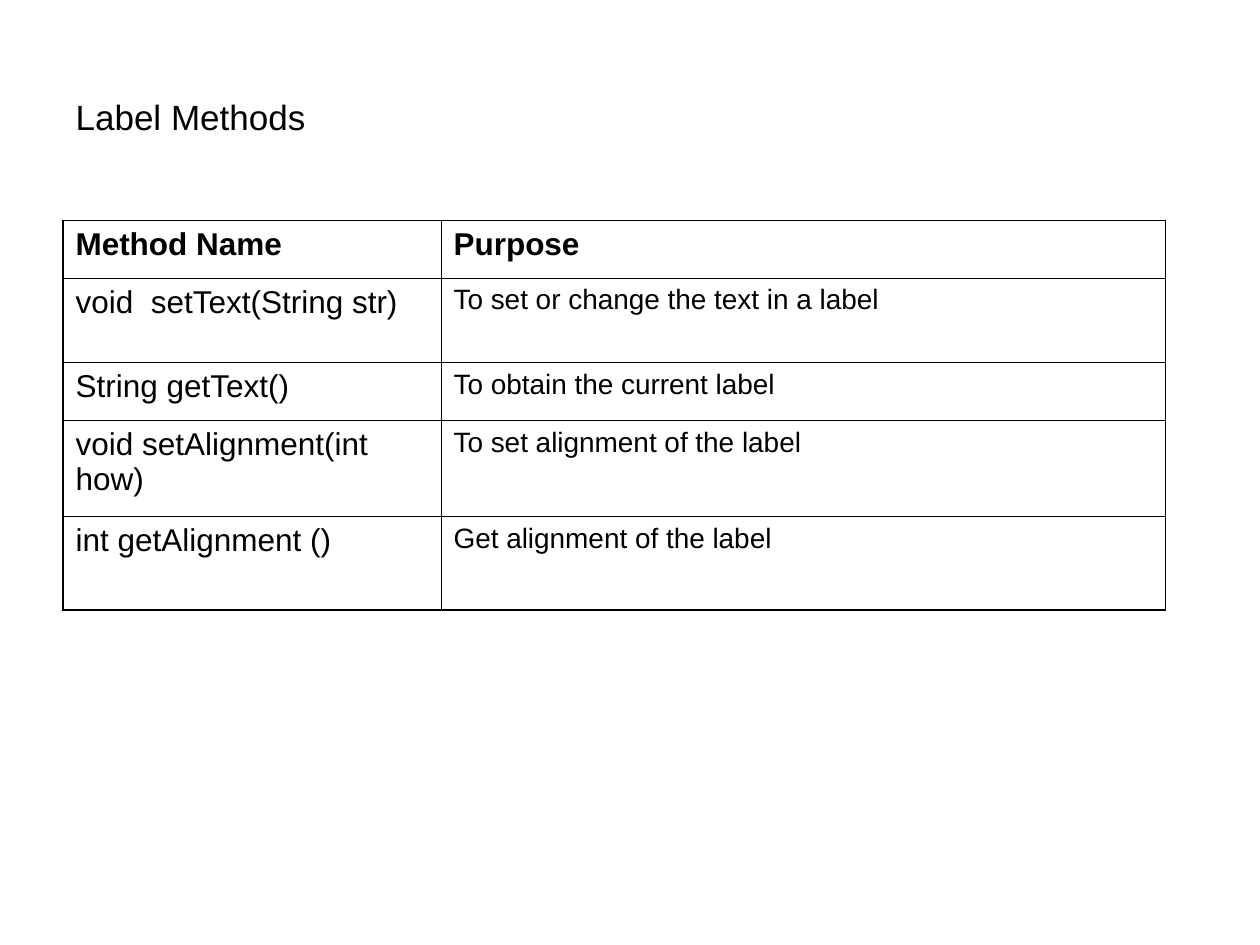
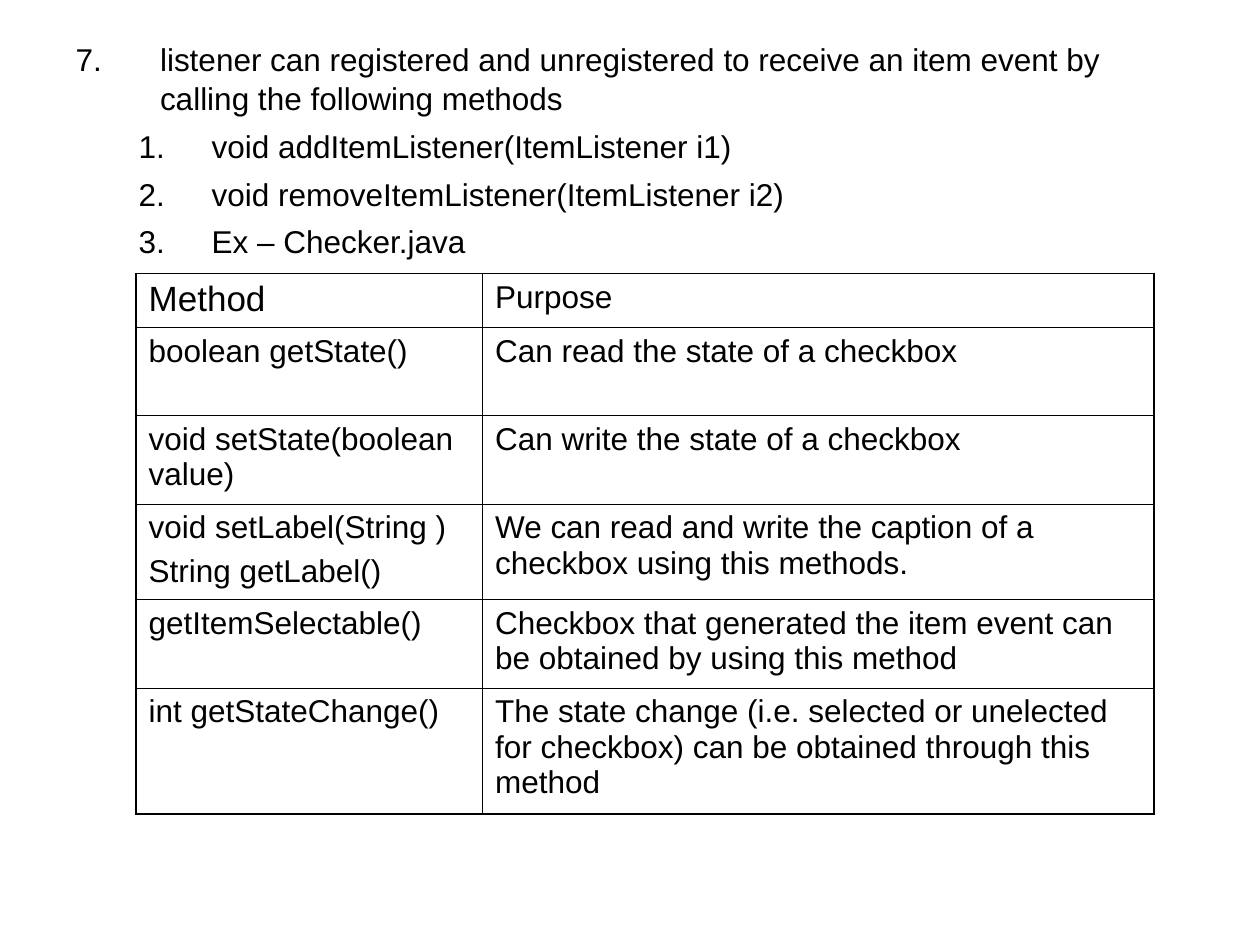
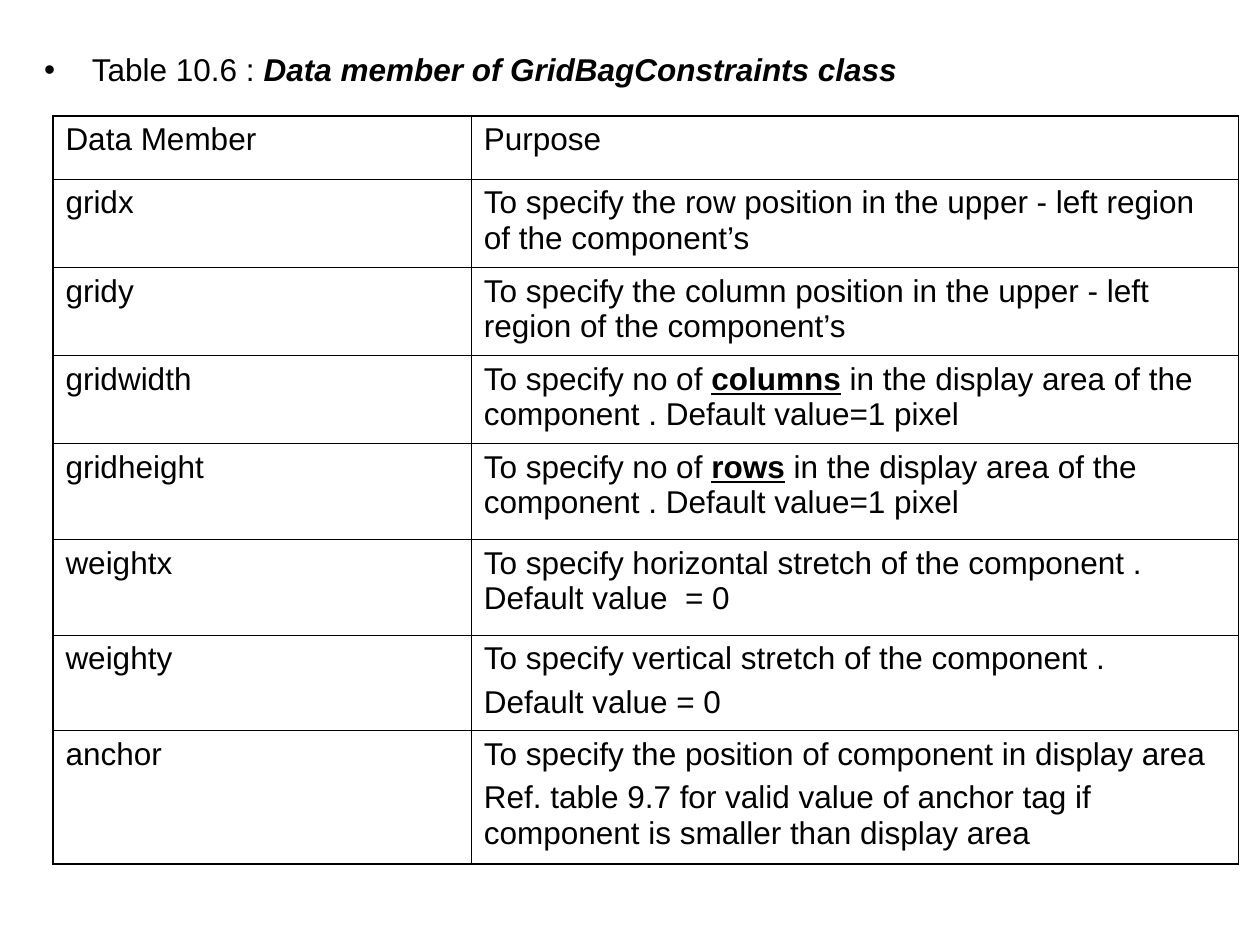
import lxml.etree
import pptx
import pptx.dml.color
import pptx.enum.text
import pptx.oxml.ns
import pptx.util

Inches = pptx.util.Inches
COLORS = {"text": "000000", "border": "000000"}
FONT = "Arial"
OUTER_BORDER = 1.08
INNER_BORDER = 0.45
TITLE_ONLY, TITLE_AND_BODY = 5, 1
STRESSED = {"bold": True, "underline": True}


def color(name):
    return pptx.dml.color.RGBColor.from_string(COLORS[name])


def add_element(parent, tag, **attributes):
    element = lxml.etree.SubElement(parent, pptx.oxml.ns.qn(tag))
    for name, value in attributes.items():
        element.set(name, str(value))
    return element


def write_text(paragraph, text, size=18, bold=False, italic=False, underline=False):
    run = paragraph.add_run()
    run.text = text
    run.font.name = FONT
    run.font.size = pptx.util.Pt(size)
    run.font.bold = bold
    run.font.italic = italic
    run.font.underline = underline
    run.font.color.rgb = color("text")


def write_paragraph(paragraph, content, space_before=4.5, **formatting):
    paragraph.alignment = pptx.enum.text.PP_ALIGN.LEFT
    paragraph.space_before = pptx.util.Pt(space_before)
    runs = [(content, {})] if isinstance(content, str) else content
    for text, run_format in runs:
        write_text(paragraph, text, **{**formatting, **run_format})


def set_bullet(paragraph, margin, hanging, character=None, start=1):
    properties = paragraph._p.get_or_add_pPr()
    properties.set("marL", str(Inches(margin)))
    properties.set("indent", str(-Inches(hanging)))
    bullet_color = add_element(properties, "a:buClr")
    add_element(bullet_color, "a:srgbClr", val=COLORS["text"])
    add_element(properties, "a:buFont", typeface=FONT)
    if character:
        add_element(properties, "a:buChar", char=character)
    else:
        add_element(properties, "a:buAutoNum", type="arabicPeriod", startAt=start)


def place(shape, left, top, width, height):
    shape.left, shape.top = Inches(left), Inches(top)
    shape.width, shape.height = Inches(width), Inches(height)


def add_title(slide, text, box):
    title = slide.shapes.title
    place(title, *box)
    title.text_frame.auto_size = pptx.enum.text.MSO_AUTO_SIZE.NONE
    title.text_frame.vertical_anchor = pptx.enum.text.MSO_ANCHOR.MIDDLE
    write_paragraph(title.text_frame.paragraphs[0], text, space_before=0, size=20)


def add_body(slide, items, box, margin_top=0.05, line_spacing=1.0):
    title = slide.shapes.title
    title._element.getparent().remove(title._element)
    body = slide.placeholders[1]
    place(body, *box)
    frame = body.text_frame
    frame.auto_size = pptx.enum.text.MSO_AUTO_SIZE.NONE
    frame.margin_top = Inches(margin_top)
    for index, (content, level, bullet) in enumerate(items):
        paragraph = frame.add_paragraph() if index else frame.paragraphs[0]
        paragraph.level = level
        paragraph.line_spacing = line_spacing
        write_paragraph(paragraph, content)
        set_bullet(paragraph, **bullet)


def set_borders(cell, outer_sides):
    properties = cell._tc.get_or_add_tcPr()
    for position, side in enumerate("LRTB"):
        width = OUTER_BORDER if side in outer_sides else INNER_BORDER
        line = add_element(properties, f"a:ln{side}", w=pptx.util.Pt(width))
        fill = add_element(line, "a:solidFill")
        add_element(fill, "a:srgbClr", val=COLORS["border"])
        properties.insert(position, line)


def write_cell(cell, content, **formatting):
    cell.fill.background()
    cell.margin_left = cell.margin_right = Inches(0.1)
    cell.margin_top = cell.margin_bottom = Inches(0.05)
    paragraphs = content if isinstance(content, tuple) else (content,)
    for index, text in enumerate(paragraphs):
        frame = cell.text_frame
        paragraph = frame.add_paragraph() if index else frame.paragraphs[0]
        write_paragraph(paragraph, text, **formatting)


def add_methods_table(slide, rows, left, top, column_widths, row_heights, cell_format):
    last_row, last_column = len(rows) - 1, len(column_widths) - 1
    table = slide.shapes.add_table(
        len(rows), len(column_widths), Inches(left), Inches(top),
        Inches(sum(column_widths)), Inches(sum(row_heights))).table
    table.first_row = table.horz_banding = False
    for column, width in zip(table.columns, column_widths):
        column.width = Inches(width)
    for row, height in zip(table.rows, row_heights):
        row.height = Inches(height)
    for row_index, row in enumerate(rows):
        for column_index, content in enumerate(row):
            cell = table.cell(row_index, column_index)
            write_cell(cell, content, **cell_format(row_index, column_index))
            edges = {"L": column_index == 0, "R": column_index == last_column,
                     "T": row_index == 0, "B": row_index == last_row}
            set_borders(cell, [side for side, is_outer in edges.items() if is_outer])


def label_cell_format(row, column):
    if row == 0:
        return {"bold": True}
    return {"size": 16, "space_before": 4} if column else {}


def checkbox_cell_format(row, column):
    return {"size": 20, "space_before": 5} if (row, column) == (0, 0) else {}


def constraints_cell_format(row, column):
    return {}


def add_slide(presentation, layout):
    return presentation.slides.add_slide(presentation.slide_layouts[layout])


def build_label_slide(presentation):
    slide = add_slide(presentation, TITLE_ONLY)
    add_title(slide, "Label Methods", (0.5, 0.3, 9, 1.25))
    rows = [
        ("Method Name", "Purpose"),
        ("void  setText(String str)", "To set or change the text in a label"),
        ("String getText()", "To obtain the current label"),
        ("void setAlignment(int how)", "To set alignment of the label"),
        ("int getAlignment ()", "Get alignment of the label"),
    ]
    add_methods_table(slide, rows, 0.5, 1.75, [3, 5.75],
                      [0.46, 0.67, 0.46, 0.76, 0.74], label_cell_format)


def build_checkbox_slide(presentation):
    slide = add_slide(presentation, TITLE_AND_BODY)
    outer_number = {"margin": 0.67, "hanging": 0.67, "start": 7}
    inner_number = {"margin": 1.08, "hanging": 0.58}
    items = [
        ("listener can registered and unregistered to receive an item event by "
         "calling the following methods", 0, outer_number),
        ("void addItemListener(ItemListener i1)", 1, inner_number),
        ("void removeItemListener(ItemListener i2)", 1, inner_number),
        ("Ex – Checker.java", 1, inner_number),
    ]
    add_body(slide, items, (0.5, 0.25, 9, 6.45), line_spacing=1.05)
    rows = [
        ("Method", "Purpose"),
        ("boolean getState()", "Can read the state of a checkbox"),
        ("void setState(boolean value)", "Can write the state of a checkbox"),
        (("void setLabel(String )", "String getLabel()"),
         "We can read and write the caption of a checkbox using this methods."),
        ("getItemSelectable()",
         "Checkbox that generated the item event can be obtained by using this method"),
        ("int getStateChange()",
         "The state change (i.e. selected or unelected for checkbox) can be "
         "obtained through this method"),
    ]
    add_methods_table(slide, rows, 1.08, 2.17, [2.75, 5.33],
                      [0.43, 0.7, 0.7, 0.76, 0.7, 1], checkbox_cell_format)


def grid_size_purpose(unit):
    return [("To specify no of ", {}), (unit, STRESSED),
            (" in the display area of the component . Default value=1 pixel", {})]


def grid_position_purpose(direction):
    return (f"To specify the {direction} position in the upper - left region "
            "of the component’s")


def build_constraints_slide(presentation):
    slide = add_slide(presentation, TITLE_AND_BODY)
    caption = [("Table 10.6 : ", {}),
               ("Data member of GridBagConstraints class", {"bold": True, "italic": True})]
    bullet = {"margin": 0.38, "hanging": 0.38, "character": "•"}
    add_body(slide, [(caption, 0, bullet)], (0.25, 0, 9.25, 1), margin_top=0.4)
    rows = [
        ("Data Member", "Purpose"),
        ("gridx", grid_position_purpose("row")),
        ("gridy", grid_position_purpose("column")),
        ("gridwidth", grid_size_purpose("columns")),
        ("gridheight", grid_size_purpose("rows")),
        ("weightx", "To specify horizontal stretch of the component . Default value  = 0"),
        ("weighty", ("To specify vertical stretch of the component .", "Default value = 0")),
        ("anchor", ("To specify the position of component in display area",
                    "Ref. table 9.7 for valid value of anchor tag if component is "
                    "smaller than display area")),
    ]
    add_methods_table(slide, rows, 0.42, 0.92, [3.32, 6.09],
                      [0.5] + [0.7] * 3 + [0.76] * 3 + [1.06], constraints_cell_format)


def main():
    presentation = pptx.Presentation()
    presentation.slide_width, presentation.slide_height = Inches(10), Inches(7.5)
    build_label_slide(presentation)
    build_checkbox_slide(presentation)
    build_constraints_slide(presentation)
    presentation.save("out.pptx")


if __name__ == "__main__":
    main()
